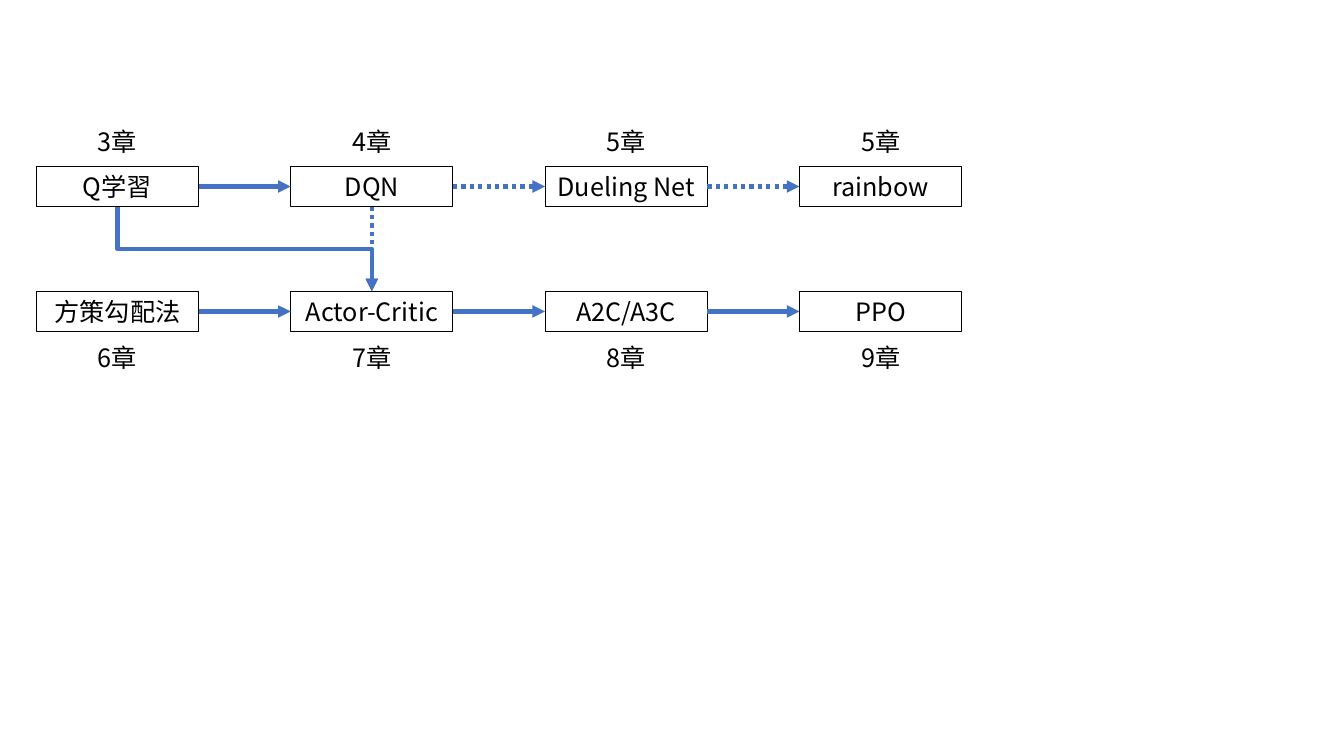
import pptx
import pptx.util
import pptx.dml.color
import pptx.enum.dml
import pptx.enum.shapes
import pptx.enum.text
import pptx.oxml.ns
import lxml.etree

ROWS = [
    {"top": 1.65, "label_top": 1.2, "chapters": [3, 4, 5, 5],
     "methods": ["Q学習", "DQN", "Dueling Net", "rainbow"]},
    {"top": 2.89, "label_top": 3.35, "chapters": [6, 7, 8, 9],
     "methods": ["方策勾配法", "Actor-Critic", "A2C/A3C", "PPO"]},
]
ARROWS = [
    ("Q学習", "DQN", False),
    ("DQN", "Dueling Net", True),
    ("Dueling Net", "rainbow", True),
    ("方策勾配法", "Actor-Critic", False),
    ("Actor-Critic", "A2C/A3C", False),
    ("A2C/A3C", "PPO", False),
    ("DQN", "Actor-Critic", True),
]
COLORS = {"text": "000000", "border": "000000", "arrow": "4472C4"}
FONT = "Noto Sans CJK JP"
LEFT, PITCH = 0.36, 2.523
BOX_WIDTH, LABEL_WIDTH, HEIGHT = 1.61, 1.44, 0.4
TOP_SITE, LEFT_SITE, BOTTOM_SITE, RIGHT_SITE = range(4)

inches = pptx.util.Inches
qn = pptx.oxml.ns.qn
CONNECTOR = pptx.enum.shapes.MSO_CONNECTOR


def color(name):
    return pptx.dml.color.RGBColor.from_string(COLORS[name])


def write(shape, text, size=18, anchor=pptx.enum.text.MSO_ANCHOR.MIDDLE):
    frame = shape.text_frame
    frame.word_wrap = True
    frame.auto_size = pptx.enum.text.MSO_AUTO_SIZE.SHAPE_TO_FIT_TEXT
    frame.vertical_anchor = anchor
    para = frame.paragraphs[0]
    para.alignment = pptx.enum.text.PP_ALIGN.CENTER
    span = para.add_run()
    span.text = text
    span.font.size = pptx.util.Pt(size)
    span.font.name = FONT
    span.font.color.rgb = color("text")
    east_asian = lxml.etree.SubElement(span.font._element, qn("a:ea"))
    east_asian.set("typeface", FONT)


def style_arrow(arrow, dotted=False):
    arrow.line.color.rgb = color("arrow")
    arrow.line.width = pptx.util.Pt(3)
    if dotted:
        arrow.line.dash_style = pptx.enum.dml.MSO_LINE.ROUND_DOT
    line = arrow.line._get_or_add_ln()
    lxml.etree.SubElement(line, qn("a:tailEnd")).set("type", "triangle")
    lxml.etree.SubElement(arrow._element.spPr, qn("a:effectLst"))


deck = pptx.Presentation()
deck.slide_width, deck.slide_height = inches(13.33), inches(7.5)
page = deck.slides.add_slide(deck.slide_layouts[6])

boxes = {}
for row in ROWS:
    for column, (method, chapter) in enumerate(zip(row["methods"], row["chapters"])):
        left = LEFT + column * PITCH
        box = page.shapes.add_shape(
            pptx.enum.shapes.MSO_SHAPE.RECTANGLE,
            inches(left), inches(row["top"]), inches(BOX_WIDTH), inches(HEIGHT))
        box.shadow.inherit = False
        box.fill.background()
        box.line.color.rgb = color("border")
        box.line.width = pptx.util.Pt(0.75)
        write(box, method)
        boxes[method] = box
        label = page.shapes.add_textbox(
            inches(left + (BOX_WIDTH - LABEL_WIDTH) / 2), inches(row["label_top"]),
            inches(LABEL_WIDTH), inches(HEIGHT))
        write(label, f"{chapter}章", anchor=pptx.enum.text.MSO_ANCHOR.TOP)

for source, target, dotted in ARROWS:
    start, end = boxes[source], boxes[target]
    sites = (RIGHT_SITE, LEFT_SITE) if start.top == end.top else (BOTTOM_SITE, TOP_SITE)
    arrow = page.shapes.add_connector(CONNECTOR.STRAIGHT, 0, 0, 0, 0)
    arrow.begin_connect(start, sites[0])
    arrow.end_connect(end, sites[1])
    style_arrow(arrow, dotted)

start, end = boxes["Q学習"], boxes["Actor-Critic"]
drop = end.top - start.top - start.height
run = end.left - start.left
middle_x = start.left + start.width // 2 + run // 2
middle_y = end.top - drop // 2
elbow = page.shapes.add_connector(
    CONNECTOR.ELBOW,
    middle_x + drop // 2, middle_y - run // 2,
    middle_x - drop // 2, middle_y + run // 2)
elbow._element.spPr.find(qn("a:xfrm")).set("rot", str(270 * 60000))
style_arrow(elbow)

deck.save("out.pptx")
